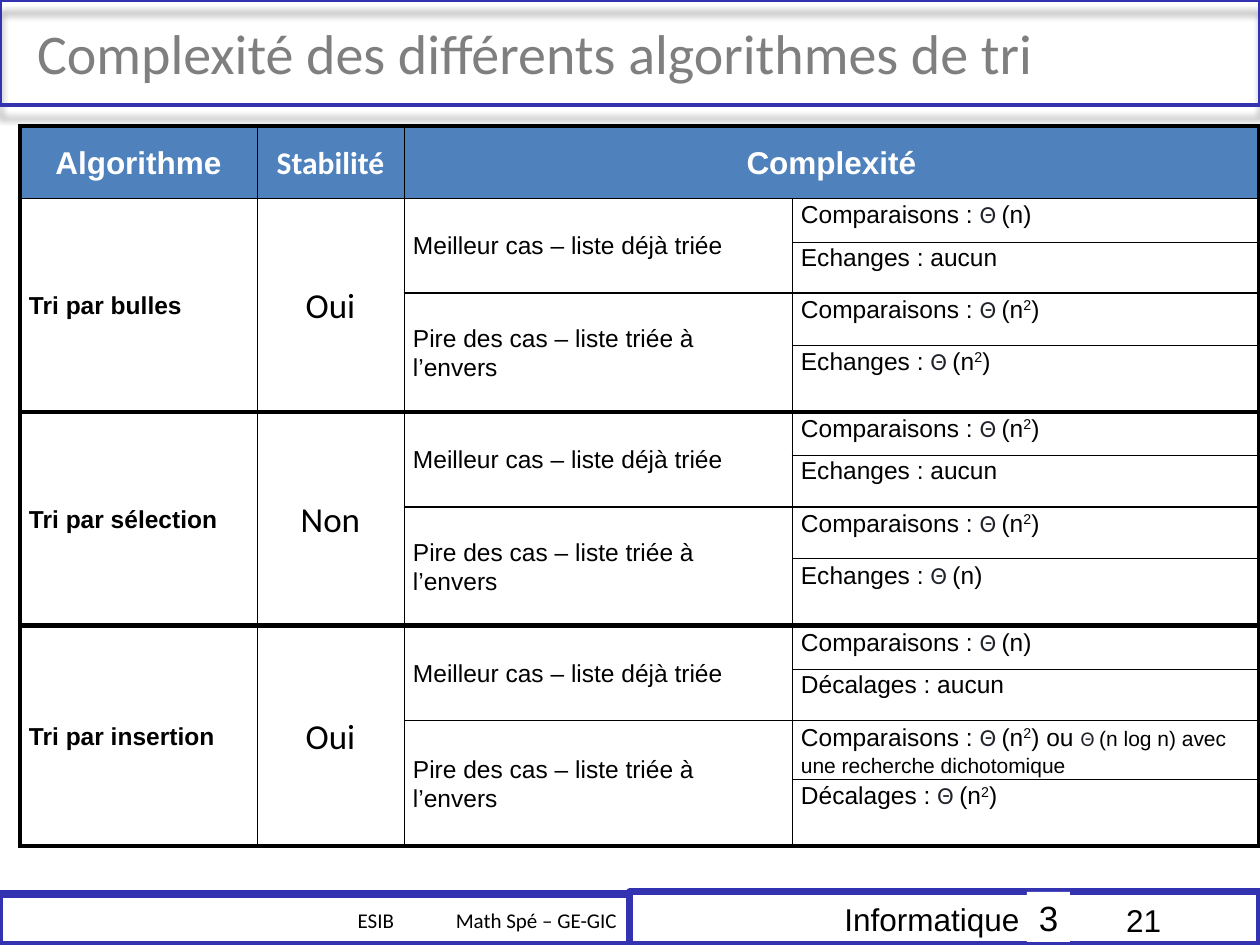
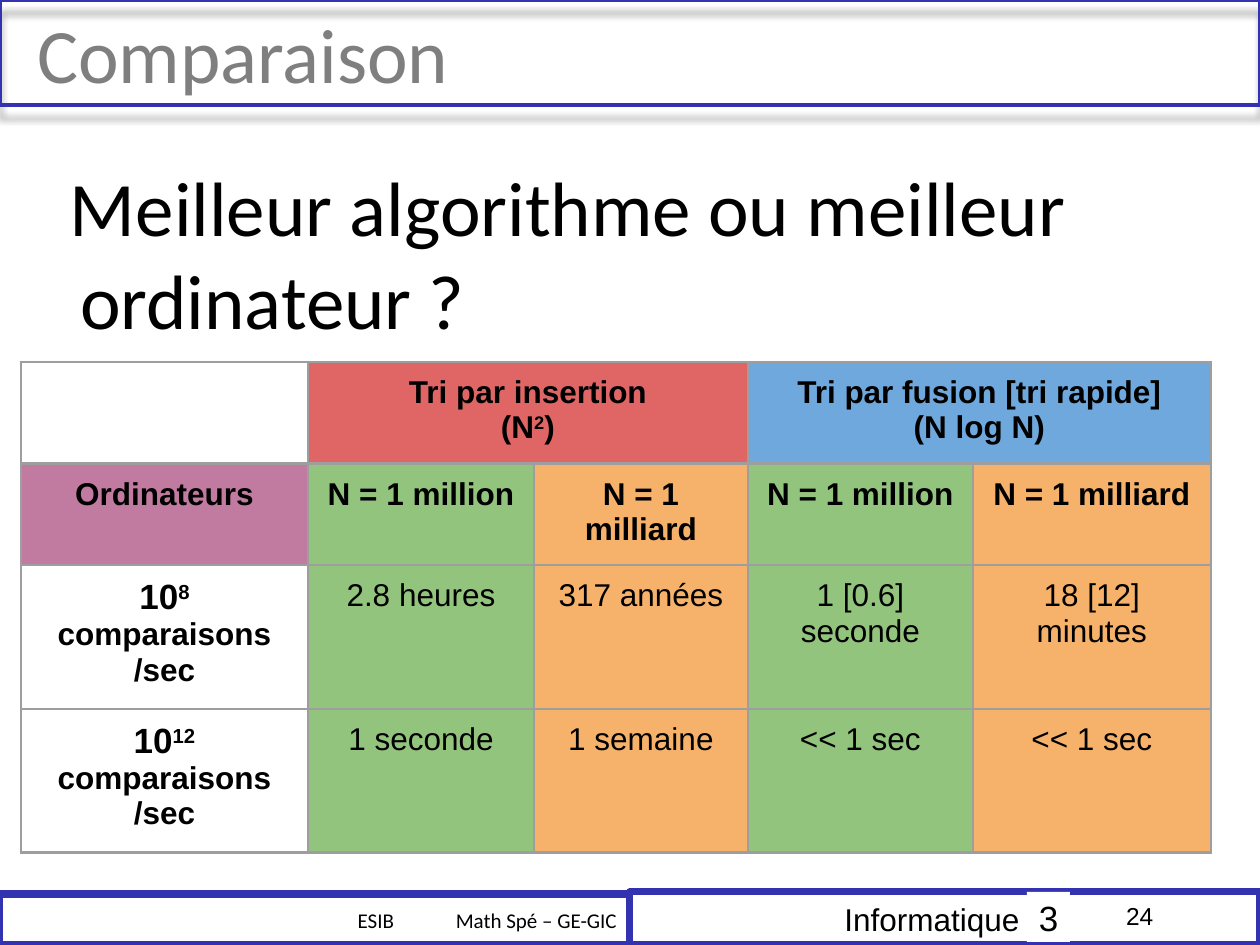
from itertools import accumulate, product

from pptx import Presentation, oxml, util as u
from pptx.dml import color as dml
from pptx.enum import shapes, text
from pptx.oxml import ns

SCALE = 914400 / 126
HEX = {
    "frame": "3333B2", "title": "7F7F7F", "ink": "000000", "white": "FFFFFF",
    "theta": "21242C", "head": "4F81BD", "grid": "9E9E9E", "red": "E06666",
    "blue": "6FA8DC", "plum": "C27BA0", "green": "93C47D", "gold": "F6B26B",
}
LEFT, MID, RIGHT = text.PP_ALIGN.LEFT, text.PP_ALIGN.CENTER, text.PP_ALIGN.RIGHT
TOP, HALF = text.MSO_ANCHOR.TOP, text.MSO_ANCHOR.MIDDLE
PLAIN = "{2D5ABB26-0587-4C30-8999-92F81FD0307C}"
BEST = "Meilleur cas – liste déjà triée"
WORST = "Pire des cas – liste triée à l’envers"
LIN = "|Θ |(n)"
QUAD = "|Θ |(n|^2|)"
SORTS = [
    ("Tri par bulles", "Oui", "Echanges", [LIN, "aucun", QUAD, QUAD]),
    ("Tri par sélection", "Non", "Echanges", [QUAD, "aucun", QUAD, LIN]),
    ("Tri par insertion", "Oui", "Décalages",
     [LIN, "aucun",
      QUAD + " ou |#12|Θ |(n log n) avec une recherche dichotomique", QUAD]),
]
SPEEDS = [
    ["10|^8|#18| comparaisons /sec", "2.8 heures", "317 années",
     "1 [0.6] seconde", "18 [12] minutes"],
    ["10|^12|#18| comparaisons /sec", "1 seconde", "1 semaine",
     "<< 1 sec", "<< 1 sec"],
]


def px(n):
    return u.Emu(round(n * SCALE))


def rgb(name):
    return dml.RGBColor.from_string(HEX[name])


def style(run, size, font, color, bold):
    run.font.size = u.Pt(size)
    run.font.name = font
    run.font.bold = bold
    run.font.color.rgb = rgb(color)


def write(frame, words, size, font="Arial", color="ink", bold=False,
          align=LEFT, space=None):
    # | splits runs, ^ raises a run, #n changes the size
    frame.text = words
    for par in frame.paragraphs:
        parts = par.text.split("|")
        par.clear()
        par.alignment = align
        par.line_spacing = space
        now = size
        for part in parts:
            if part.startswith("#"):
                now = int(part[1:])
                continue
            run = par.add_run()
            run.text = part.lstrip("^")
            if part.startswith("Θ"):
                style(run, now, "Calibri", "theta", bold)
            else:
                style(run, now, font, color, bold)
            if part.startswith("^"):
                run.font._element.set("baseline", "30000")


def pad(item, left, top, right=None):
    item.margin_left = px(left)
    item.margin_right = px(left if right is None else right)
    item.margin_top = item.margin_bottom = px(top)


def label(slide, box, words, size, inset=(13, 6), anchor=TOP, dent=None, **look):
    frame = slide.shapes.add_textbox(*map(px, box)).text_frame
    frame.word_wrap = True
    frame.vertical_anchor = anchor
    pad(frame, *inset)
    write(frame, words, size, **look)
    if dent:
        props = frame.paragraphs[0]._p.get_or_add_pPr()
        props.set("marL", str(px(25)))
        props.set("indent", str(px(dent)))


def panel(slide, box, line=None, fill=None):
    shape = slide.shapes.add_shape(shapes.MSO_SHAPE.RECTANGLE, *map(px, box))
    shape.shadow.inherit = False
    if fill:
        shape.fill.solid()
        shape.fill.fore_color.rgb = rgb(fill)
    else:
        shape.fill.background()
    if line:
        shape.line.color.rgb = rgb("frame")
        shape.line.width = u.Pt(line)
    else:
        shape.line.fill.background()
    return shape


def shade(shape):
    effects = shape._element.spPr.find(ns.qn("a:effectLst"))
    effects.append(oxml.parse_xml(
        f'<a:outerShdw {ns.nsdecls("a")} blurRad="{u.Pt(4)}" dist="{u.Pt(7)}" '
        f'dir="5400000" algn="t" rotWithShape="0"><a:srgbClr val="{HEX["ink"]}">'
        '<a:alpha val="40000"/></a:srgbClr></a:outerShdw>'))


def base(deck, title, size, page, small):
    slide = deck.slides.add_slide(deck.slide_layouts[6])
    course = panel(slide, (630, 892, 630, 53), 4).text_frame
    course.vertical_anchor = HALF
    pad(course, 13, 6, 39)
    write(course, "Informatique", 18, align=MID)
    group = panel(slide, (0, 895, 630, 50), 4).text_frame
    group.vertical_anchor = HALF
    pad(group, 13, 6)
    write(group, "Math Spé – GE-GIC", 12, "Calibri", align=RIGHT)
    label(slide, (300, 895, 107, 50), "ESIB", 12, anchor=HALF,
          font="Calibri", align=RIGHT)
    panel(slide, (0, 892, 630, 53), 2.75)
    shade(panel(slide, (0, 0, 1260, 105), 2))
    part = panel(slide, (1027, 892, 43, 50), fill="white").text_frame
    part.vertical_anchor = HALF
    pad(part, 0, 0)
    write(part, "3", 20, align=MID)
    label(slide, (0, 0, 1229, 105), title, size, (13, 13), HALF, -1,
          font="Calibri", color="title")
    label(slide, (1113, 895, 147, 50), page, small)
    return slide


def grid(slide, left, top, cols, rows):
    box = map(px, (left, top, sum(cols), sum(rows)))
    table = slide.shapes.add_table(len(rows), len(cols), *box).table
    table.first_row = table.horz_banding = False
    table._tbl.tblPr[0].text = PLAIN
    for col, width in zip(table.columns, cols):
        col.width = px(width)
    for row, height in zip(table.rows, rows):
        row.height = px(height)
    return table


def rule(cell, edges, color):
    props = cell._tc.get_or_add_tcPr()
    for i, (side, width) in enumerate(edges):
        props.insert(i, oxml.parse_xml(
            f'<a:ln{side} {ns.nsdecls("a")} w="{u.Pt(width)}"><a:solidFill>'
            f'<a:srgbClr val="{HEX[color]}"/></a:solidFill></a:ln{side}>'))


def put(table, spot, words, size, edge, fill="white", line="ink", span=(1, 1),
        inset=(9, 0), anchor=HALF, **look):
    (row, col), (high, wide) = spot, span
    end, last = row + high, col + wide
    first = table.cell(row, col)
    if high * wide > 1:
        first.merge(table.cell(end - 1, last - 1))
    for r, c in product(range(row, end), range(col, last)):
        cell = table.cell(r, c)
        cell.fill.solid()
        cell.fill.fore_color.rgb = rgb(fill)
        head = (r, c) == (row, col)
        sides = [("L", c == col, edge(0, col)), ("R", head or c == last - 1, edge(0, last)),
                 ("T", r == row, edge(1, row)), ("B", head or r == end - 1, edge(1, end))]
        rule(cell, [(side, width) for side, shown, width in sides if shown], line)
    first.vertical_anchor = anchor
    pad(first, *inset)
    if words:
        write(first.text_frame, words, size, **look)


def weight(axis, n):
    if axis == 0:
        return 2.25 if n in (0, 4) else 0.5
    if n in (0, 13):
        return 2.25
    return {1: 3, 3: 1}.get(n % 4, 0.5) if n > 1 else 0.5


def costs(deck):
    slide = base(deck, "Complexité des différents algorithmes de tri", 32, "21", 18)
    table = grid(slide, 20, 126, (237, 147, 388, 467), [72] + [44, 51, 52, 67] * 3)
    heads = [("Algorithme", "Arial", 1), ("Stabilité", "Calibri", 1),
             ("Complexité", "Arial", 2)]
    for col, (words, font, wide) in enumerate(heads):
        put(table, (0, col), words, 18, weight, "head", span=(1, wide), font=font,
            color="white", bold=True, align=MID, space=1.07)
    for i, (name, stable, moves, values) in enumerate(SORTS):
        row = 1 + 4 * i
        put(table, (row, 0), name, 14, weight, span=(4, 1), bold=True, space=1.07)
        put(table, (row, 1), stable, 20, weight, span=(4, 1), font="Calibri",
            align=MID, space=1.07)
        for j, case in enumerate((BEST, WORST)):
            put(table, (row + 2 * j, 2), case, 14, weight, span=(2, 1), space=1.07)
        for j, value in enumerate(values):
            count = moves if j % 2 else "Comparaisons"
            put(table, (row + j, 3), f"{count} : {value}", 14, weight,
                anchor=TOP, space=1.07)


def speeds(deck):
    slide = base(deck, "Comparaison", 44, "24", 14)
    label(slide, (42, 147, 1155, 697), "Meilleur algorithme ou meilleur ordinateur ?",
          44, (13, 13), dent=-10, font="Calibri")
    table = grid(slide, 21, 362, (287, 226, 214, 225, 238), (96, 96, 134, 135))

    def fill(spot, words, size=18, tint="white", bold=True, span=(1, 1)):
        put(table, spot, words, size, lambda axis, n: 1.5, tint, "grid", span,
            (13, 13), TOP, bold=bold, align=MID)

    fill((0, 0), "")
    fill((0, 1), "Tri par insertion\n(N|^2|)", tint="red", span=(1, 2))
    fill((0, 3), "Tri par fusion [tri rapide]\n(N log N)", tint="blue", span=(1, 2))
    sizes = ["N = 1 million", "N = 1 milliard"] * 2
    for row, line in enumerate([["Ordinateurs"] + sizes] + SPEEDS, 1):
        fill((row, 0), line[0], 18 if row == 1 else 20, "plum" if row == 1 else "white")
        for col, words in enumerate(line[1:], 1):
            fill((row, col), words, tint="green" if col % 2 else "gold", bold=row == 1)


def main():
    deck = Presentation()
    deck.slide_width, deck.slide_height = px(1260), px(945)
    costs(deck)
    speeds(deck)
    deck.save("out.pptx")


if __name__ == "__main__":
    main()
